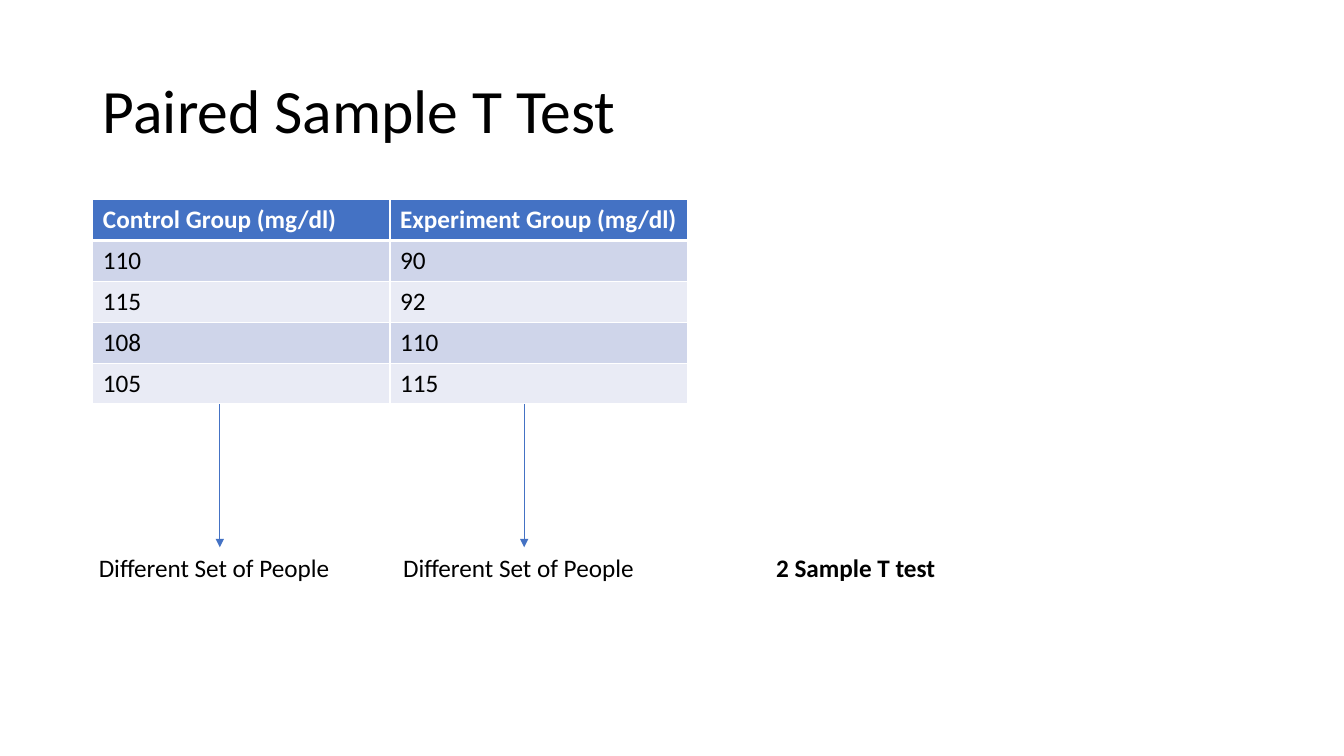
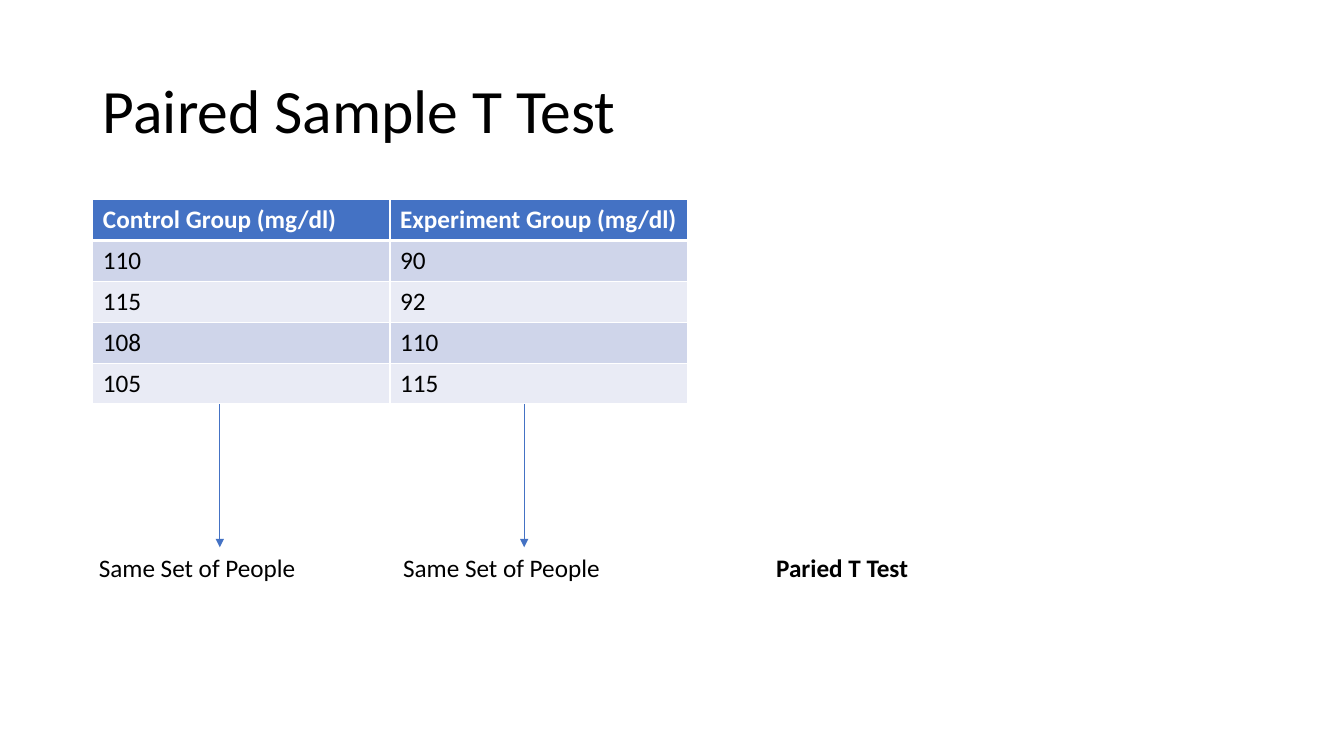
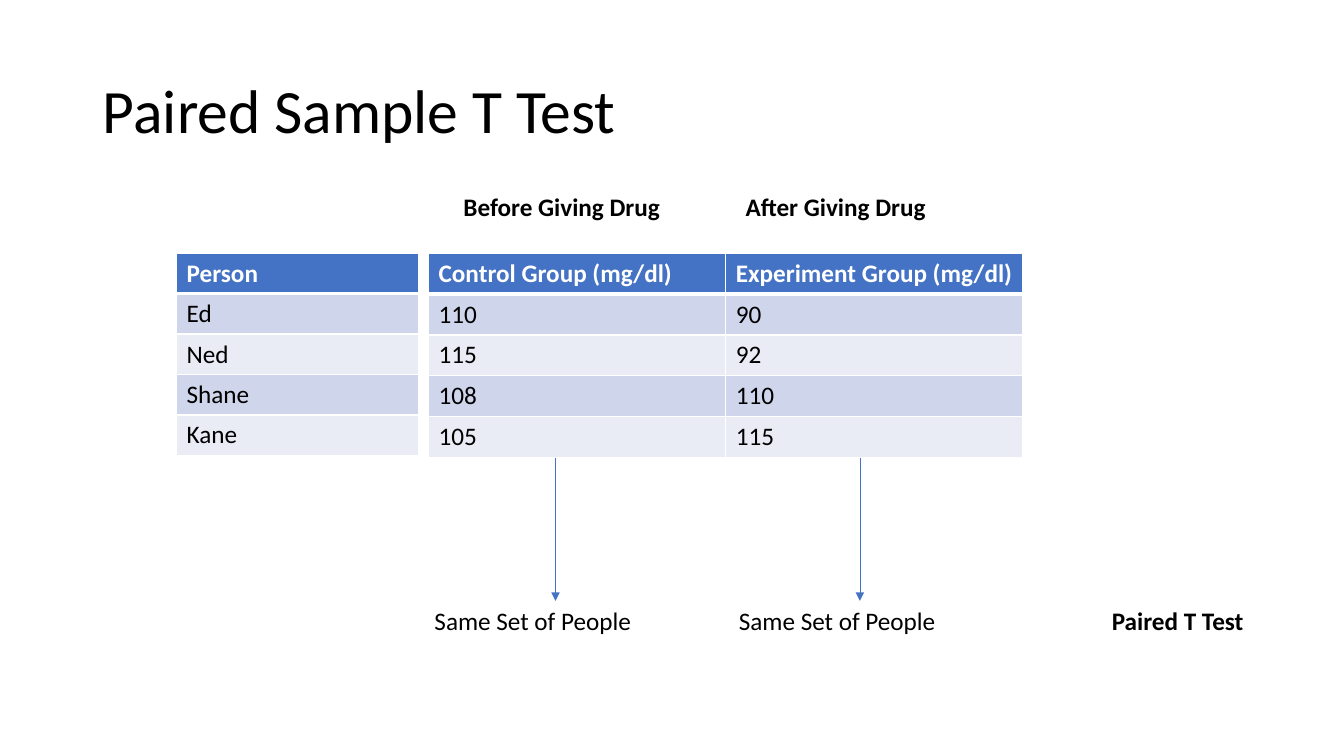
import pptx
import pptx.util
import pptx.dml.color
import pptx.enum.shapes
import pptx.enum.text
import pptx.oxml.ns
import lxml.etree

Cm = pptx.util.Cm
Pt = pptx.util.Pt

COLOURS = {
    "ink": "000000",
    "paper": "FFFFFF",
    "accent": "4472C4",
    "band_dark": "CFD5EA",
    "band_light": "E9EBF5",
}
TITLE = {"name": "Calibri", "size": Pt(44), "bold": False}
BODY = {"name": "Calibri", "size": Pt(18), "bold": False}
STRONG = {**BODY, "bold": True}
TITLE_FRAME = {
    "vertical_anchor": pptx.enum.text.MSO_ANCHOR.MIDDLE,
    "auto_size": pptx.enum.text.MSO_AUTO_SIZE.NONE,
    "word_wrap": True,
}
LABEL_FRAME = {
    "auto_size": pptx.enum.text.MSO_AUTO_SIZE.SHAPE_TO_FIT_TEXT,
    "word_wrap": True,
}
TITLE_PARA = {"alignment": pptx.enum.text.PP_ALIGN.LEFT, "line_spacing": 0.9}

TITLE_TEXT = "Paired Sample T Test"
GROUPS = [
    ["Control Group (mg/dl)", "Experiment Group (mg/dl)"],
    ["110", "90"],
    ["115", "92"],
    ["108", "110"],
    ["105", "115"],
]
PEOPLE = [["Person"], ["Ed"], ["Ned"], ["Shane"], ["Kane"]]

ROW_HEIGHT = 1.03
GROUP_WIDTH = 7.49
PERSON_WIDTH = 6.1
ARROW_LENGTH = 3.61
LABEL_WIDTH = 6.6
LABEL_PITCH = 7.67
LABEL_HEIGHT = 1.03


def apply(target, values):
    for name, value in values.items():
        setattr(target, name, value)


def colour(name):
    return pptx.dml.color.RGBColor.from_string(COLOURS[name])


def write(para, text, font, ink="ink"):
    span = para.add_run()
    span.text = text
    apply(span.font, font)
    span.font.color.rgb = colour(ink)


def add_border(cell, side, width):
    line = lxml.etree.SubElement(
        cell._tc.get_or_add_tcPr(), pptx.oxml.ns.qn("a:ln" + side), w=str(Pt(width))
    )
    fill = lxml.etree.SubElement(line, pptx.oxml.ns.qn("a:solidFill"))
    lxml.etree.SubElement(fill, pptx.oxml.ns.qn("a:srgbClr"), val=COLOURS["paper"])


def add_title(page):
    box = page.shapes.title
    apply(box, {"left": Cm(2.34), "top": Cm(1.02), "width": Cm(29.21), "height": Cm(3.68)})
    apply(box.text_frame, TITLE_FRAME)
    para = box.text_frame.paragraphs[0]
    apply(para, TITLE_PARA)
    write(para, TITLE_TEXT, TITLE)


def add_label(page, left, top, width, text, font):
    box = page.shapes.add_textbox(Cm(left), Cm(top), Cm(width), Cm(LABEL_HEIGHT))
    apply(box.text_frame, LABEL_FRAME)
    write(box.text_frame.paragraphs[0], text, font)


def add_grid(page, left, top, column_width, row_height, rows):
    columns = len(rows[0])
    table = page.shapes.add_table(
        len(rows), columns, Cm(left), Cm(top),
        Cm(column_width * columns), Cm(row_height * len(rows)),
    ).table
    for column in table.columns:
        column.width = Cm(column_width)
    for index, row in enumerate(rows):
        header = index == 0
        band = "accent" if header else ("band_light", "band_dark")[index % 2]
        borders = {"L": 1, "R": 1, "T": 3 if index == 1 else 1, "B": 3 if header else 1}
        for position, text in enumerate(row):
            cell = table.cell(index, position)
            for side, width in borders.items():
                add_border(cell, side, width)
            cell.fill.solid()
            cell.fill.fore_color.rgb = colour(band)
            write(
                cell.text_frame.paragraphs[0], text,
                STRONG if header else BODY, "paper" if header else "ink",
            )


def add_arrow(page, x, top, length):
    arrow = page.shapes.add_connector(
        pptx.enum.shapes.MSO_CONNECTOR.STRAIGHT, Cm(x), Cm(top), Cm(x), Cm(top + length)
    )
    arrow.line.color.rgb = colour("accent")
    arrow.line.width = Pt(0.5)
    lxml.etree.SubElement(
        arrow.line._get_or_add_ln(), pptx.oxml.ns.qn("a:tailEnd"), type="triangle"
    )
    lxml.etree.SubElement(arrow._element.spPr, pptx.oxml.ns.qn("a:effectLst"))


def add_comparison(page, left, top, sample, verdict):
    add_grid(page, left, top, GROUP_WIDTH, ROW_HEIGHT, GROUPS)
    table_bottom = top + ROW_HEIGHT * len(GROUPS)
    label_top = table_bottom + ARROW_LENGTH
    for group in range(len(GROUPS[0])):
        label_left = left - 0.1 + group * LABEL_PITCH
        add_arrow(page, label_left + LABEL_WIDTH / 2, table_bottom, ARROW_LENGTH)
        add_label(page, label_left, label_top, LABEL_WIDTH, sample, BODY)
    add_label(page, left + 16.97, label_top, 5.69, verdict, STRONG)


def add_people(page, left, top):
    add_grid(page, left, top, PERSON_WIDTH, 1.02, PEOPLE)


def add_phases(page, left, top):
    for index, text in enumerate(["Before Giving Drug", "After Giving Drug"]):
        add_label(page, left + index * 7.11, top, 5.87, text, STRONG)


def add_page(deck, left, top, sample, verdict):
    page = deck.slides.add_slide(deck.slide_layouts[5])
    add_title(page)
    add_comparison(page, left, top, sample, verdict)
    return page


deck = pptx.Presentation()
apply(deck, {"slide_width": Cm(33.87), "slide_height": Cm(19.05)})
add_page(deck, 2.34, 5.03, "Different Set of People", "2 Sample T test")
add_page(deck, 2.34, 5.03, "Same Set of People", "Paried T Test")
drug_page = add_page(deck, 10.8, 6.38, "Same Set of People", "Paired T Test")
add_people(drug_page, 4.45, 6.38)
add_phases(drug_page, 11.43, 4.7)
deck.save("out.pptx")
